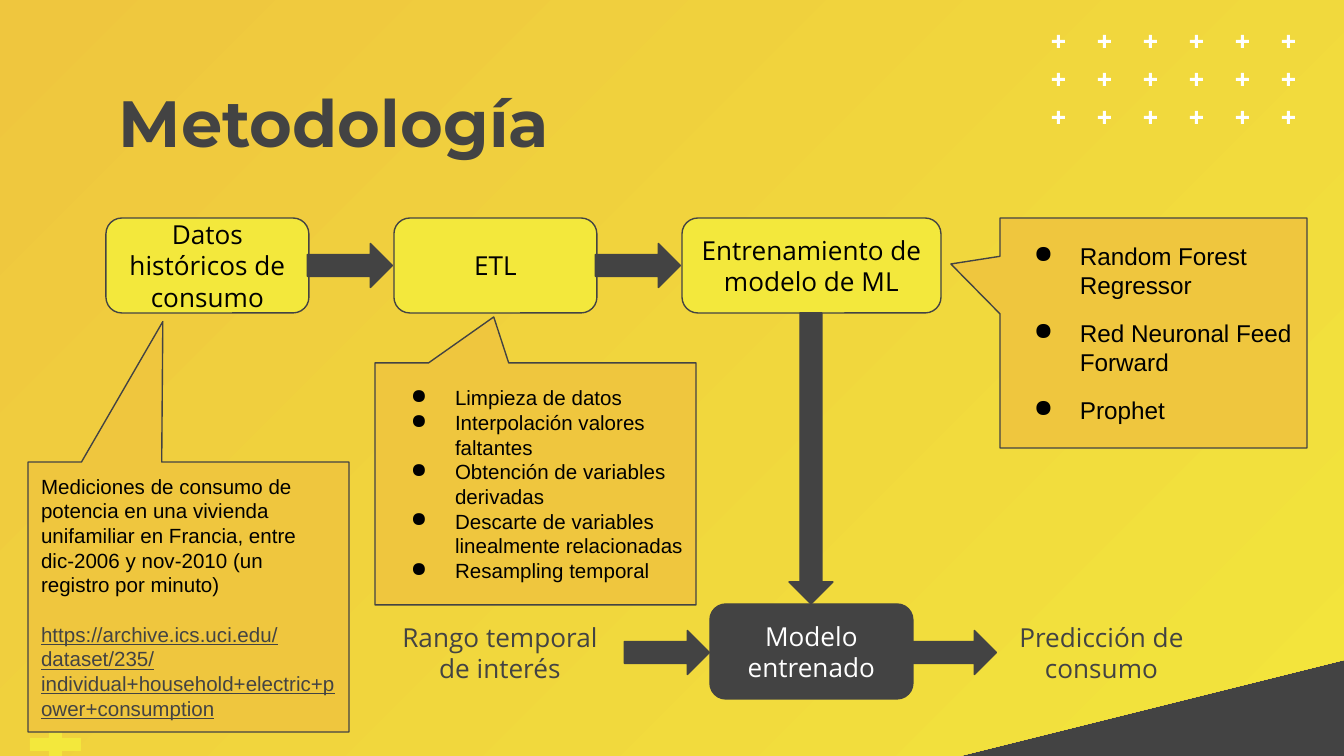
from pptx import Presentation
from pptx.dml.color import RGBColor
from pptx.enum.shapes import MSO_SHAPE
from pptx.enum.text import MSO_ANCHOR, PP_ALIGN
from pptx.oxml.ns import qn
from pptx.util import Pt

PX = 914400 / 134.4
WIDTH, HEIGHT = 1344, 756

DARK = RGBColor(0x43, 0x43, 0x43)
YELLOW = RGBColor(0xF3, 0xE8, 0x3C)
AMBER = RGBColor(0xEF, 0xC6, 0x3E)
BLACK = RGBColor(0, 0, 0)
WHITE = RGBColor(0xFF, 0xFF, 0xFF)

ROUNDED = MSO_SHAPE.ROUNDED_RECTANGLE
DOWN_ARROW = MSO_SHAPE.DOWN_ARROW
CALLOUT = MSO_SHAPE.RECTANGULAR_CALLOUT
TOP, MIDDLE = MSO_ANCHOR.TOP, MSO_ANCHOR.MIDDLE
LEFT, CENTER = PP_ALIGN.LEFT, PP_ALIGN.CENTER

INSET = 13
TEXT_INDENT = 67
LINE_RATIO = 1.2

TITLE = {"name": "Montserrat", "size": Pt(35), "bold": True}
STEP = {"name": "Open Sans", "size": Pt(14)}
NOTE = {"name": "Arial", "size": Pt(11)}
MODEL_NOTE = {"name": "Arial", "size": Pt(13)}


def px(*values):
    return [round(value * PX) for value in values]


def set_frame(shape, anchor):
    frame = shape.text_frame
    margins = dict.fromkeys(
        ("margin_left", "margin_top", "margin_right", "margin_bottom"), px(INSET)[0])
    for name, value in {"word_wrap": True, "vertical_anchor": anchor, **margins}.items():
        setattr(frame, name, value)
    return frame


def add_bullet(para, hanging):
    indent, hang = px(TEXT_INDENT, hanging)
    props = para._p.get_or_add_pPr()
    props.set("marL", str(indent))
    props.set("indent", str(-hang))
    bullet = props.makeelement(qn("a:buChar"), {"char": "●"})
    props.append(bullet)


def write(shape, texts, font, color, align=CENTER, anchor=MIDDLE, hanging=0, gap=0):
    frame = set_frame(shape, anchor)
    for index, text in enumerate(texts):
        para = frame.paragraphs[0] if index == 0 else frame.add_paragraph()
        if hanging:
            add_bullet(para, hanging)
        para.alignment = align
        para.line_spacing = Pt(font["size"].pt * LINE_RATIO)
        if index and gap:
            para.space_before = Pt(gap)
        span = para.add_run()
        span.text = text
        for name, value in font.items():
            setattr(span.font, name, value)
        span.font.color.rgb = color
    return frame


def add_label(slide, area, text, font, **layout):
    box = slide.shapes.add_textbox(*px(*area))
    write(box, [text], font, DARK, **layout)


def add_outlined(slide, kind, area, fill):
    shape = slide.shapes.add_shape(kind, *px(*area))
    shape.shadow.inherit = False
    shape.fill.solid()
    shape.fill.fore_color.rgb = fill
    shape.line.color.rgb = DARK
    shape.line.width = Pt(0.75)
    return shape


def add_step(slide, area, text, fill=YELLOW, color=BLACK):
    write(add_outlined(slide, ROUNDED, area, fill), [text], STEP, color)


def add_arrow(slide, area, rotation=0):
    add_outlined(slide, DOWN_ARROW, area, DARK).rotation = rotation


def add_callout(slide, area, tip, texts, font, **layout):
    shape = add_outlined(slide, CALLOUT, area, AMBER)
    shape.adjustments[0], shape.adjustments[1] = tip
    return write(shape, texts, font, BLACK, align=LEFT, **layout)


def add_outline(slide, points):
    builder = slide.shapes.build_freeform(*points[0], scale=PX)
    builder.add_line_segments(points[1:], close=True)
    shape = builder.convert_to_shape()
    shape.shadow.inherit = False
    shape.line.fill.background()
    return shape


def add_plus(slide, left, top, size, thickness, color):
    near = (size - thickness) // 2
    far = near + thickness
    corners = [(near, 0), (far, 0), (far, near), (size, near), (size, far), (far, far),
               (far, size), (near, size), (near, far), (0, far), (0, near), (near, near)]
    shape = add_outline(slide, [(left + x, top + y) for x, y in corners])
    shape.fill.solid()
    shape.fill.fore_color.rgb = color


def add_background(slide):
    slide.background.fill.solid()
    slide.background.fill.fore_color.rgb = DARK
    panel = add_outline(slide, [(0, 0), (WIDTH, 0), (WIDTH, 660), (0, 996)])
    panel.fill.gradient()
    panel.fill.gradient_angle = 315
    for stop, color in zip(panel.fill.gradient_stops, (AMBER, YELLOW)):
        stop.color.rgb = color
    # Plus signs: one large in the corner, a grid at the top right
    add_plus(slide, 30, 719, 51, 13, YELLOW)
    for row in range(3):
        for column in range(6):
            add_plus(slide, 1052 + 46 * column, 35 + 38 * row, 13, 3, WHITE)


def main():
    deck = Presentation()
    deck.slide_width, deck.slide_height = px(WIDTH, HEIGHT)
    page = deck.slides.add_slide(deck.slide_layouts[6])

    add_background(page)
    add_label(page, (106, 69, 1133, 85), "Metodología", TITLE, align=LEFT, anchor=TOP)

    # Training flow
    for left, width, text in ((106, 203, "Datos históricos de consumo"),
                              (394, 203, "ETL"),
                              (682, 259, "Entrenamiento de modelo de ML")):
        add_step(page, (left, 218, width, 95), text)

    # Prediction flow
    add_step(page, (710, 604, 203, 95), "Modelo entrenado", DARK, WHITE)
    add_label(page, (375, 610, 250, 85), "Rango temporal de interés", STEP)
    add_label(page, (1000, 610, 203, 85), "Predicción de consumo", STEP)

    # Arrows to the right, then the one down to the trained model
    for left, top in ((328, 223), (616, 223), (645, 610), (932, 610)):
        add_arrow(page, (left, top, 44, 85), rotation=270)
    add_arrow(page, (789, 313, 44, 291))

    # Callouts
    source = add_callout(page, (28, 462, 321, 270), (-0.08, -1.02), [
        "Mediciones de consumo de potencia en una vivienda unifamiliar en Francia, "
        "entre dic-2006 y nov-2010 (un registro por minuto)",
        "https://archive.ics.uci.edu/dataset/235/"
        "individual+household+electric+power+consumption",
    ], NOTE, gap=13.2)
    address = source.paragraphs[1].runs[0].font
    address.underline = True
    address.color.rgb = DARK

    add_callout(page, (1000, 218, 307, 230), (-0.66, -0.3), [
        "Random Forest Regressor",
        "Red Neuronal Feed Forward",
        "Prophet",
    ], MODEL_NOTE, hanging=46, gap=10)

    add_callout(page, (375, 363, 321, 242), (-0.13, -0.69), [
        "Limpieza de datos",
        "Interpolación valores faltantes",
        "Obtención de variables derivadas",
        "Descarte de variables linealmente relacionadas",
        "Resampling temporal",
    ], NOTE, hanging=44)

    deck.save("out.pptx")


if __name__ == "__main__":
    main()
